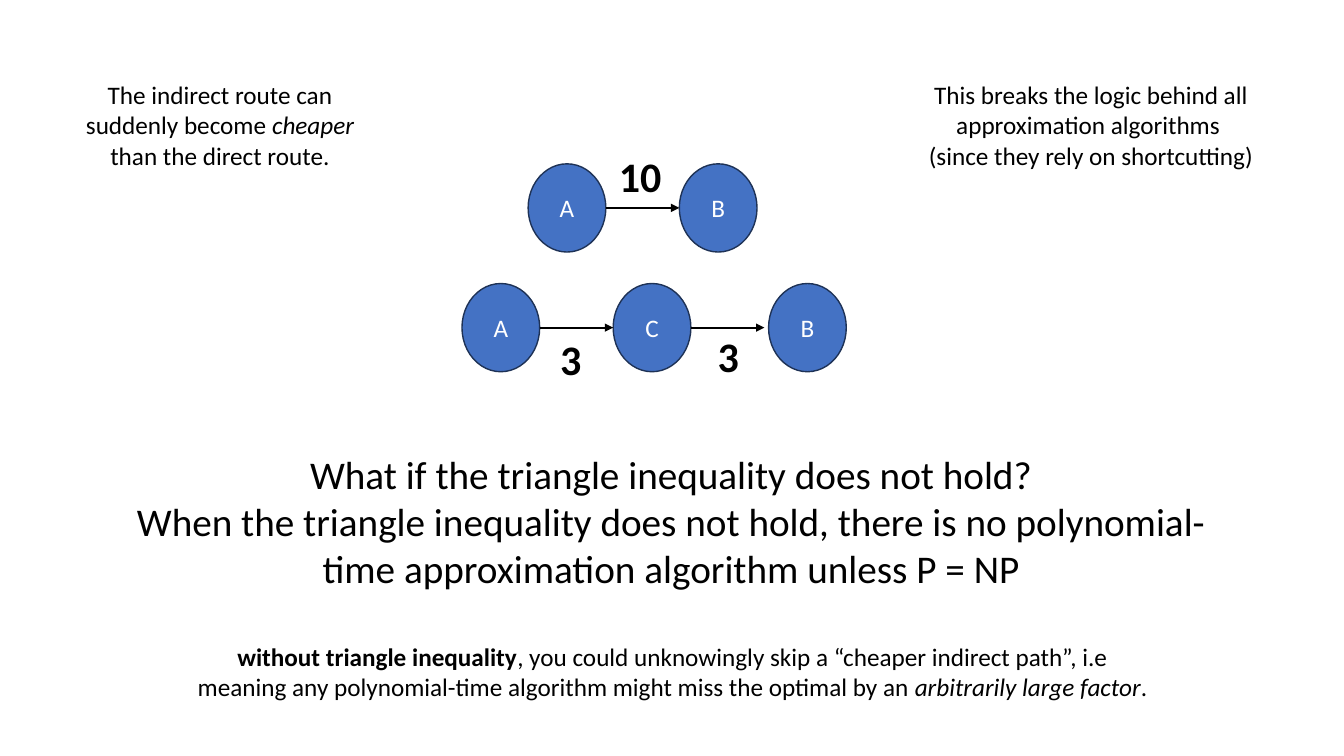
"""Build a slide on routing when the triangle inequality does not hold."""
from pptx import Presentation
from pptx.dml.color import RGBColor
from pptx.enum.shapes import MSO_CONNECTOR, MSO_SHAPE
from pptx.enum.text import MSO_ANCHOR, PP_ALIGN
from pptx.oxml.ns import qn
from pptx.util import Pt

BLACK = RGBColor(0x00, 0x00, 0x00)
WHITE = RGBColor(0xFF, 0xFF, 0xFF)
BLUE = RGBColor(0x44, 0x72, 0xC4)
NAVY = RGBColor(0x1E, 0x32, 0x56)
FONT = "Calibri"
PX = 9525
NODE_W, NODE_H, EDGE = 74, 84, 70

ROUTES = [
    (156, [("A", 503), ("B", 647)]),
    (270, [("A", 440), ("C", 584), ("B", 732)]),
]
COSTS = [
    ("10", (580, 139, 66, 59)),
    ("3", (524, 313, 56, 59)),
    ("3", (674, 310, 56, 59)),
]
NOTES = [
    ((113, 424, 1052, 145), 28, [
        [("What if the triangle inequality does not hold?", "")],
        [("When the triangle inequality does not hold, there is no "
          "polynomial-time approximation algorithm unless P = NP", "")],
    ]),
    ((71, 71, 277, 97), 18, [
        [("The indirect route can suddenly become ", ""), ("cheaper", "i"),
         (" than the direct route.", "")],
    ]),
    ((868, 71, 342, 97), 18, [
        [("This breaks the logic behind all approximation algorithms ", "")],
        [("(since they rely on shortcutting)", "")],
    ]),
    ((174, 606, 933, 68), 18, [
        [("without triangle inequality", "b"),
         (", you could unknowingly skip a “cheaper indirect path”, i.e", ""),
         ("\n", ""),
         ("meaning any polynomial-time algorithm might miss the optimal by an ", ""),
         ("arbitrarily large factor", "i"), (".", "")],
    ]),
]


def scale(*nums):
    """Turn px lengths into EMU."""
    return [num * PX for num in nums]


def write(frame, paras, size, color, align):
    """Fill a text frame run by run."""
    frame.word_wrap = True
    for num, runs in enumerate(paras):
        para = frame.add_paragraph() if num else frame.paragraphs[0]
        para.alignment = align
        for text, style in runs:
            if text == "\n":
                para.add_line_break()
                continue
            run = para.add_run()
            run.text = text
            font = run.font
            font.name, font.size = FONT, Pt(size)
            font.bold, font.italic = style == "b", style == "i"
            font.color.rgb = color


def add_text(slide, box, paras, size, align):
    """Add a text box."""
    frame = slide.shapes.add_textbox(*scale(*box)).text_frame
    write(frame, paras, size, BLACK, align)


def add_node(slide, name, left, top):
    """Add a round graph node."""
    node = slide.shapes.add_shape(
        MSO_SHAPE.OVAL, *scale(left, top, NODE_W, NODE_H))
    node.shadow.inherit = False
    node.fill.solid()
    node.fill.fore_color.rgb = BLUE
    node.line.color.rgb = NAVY
    node.line.width = Pt(1)
    node.text_frame.vertical_anchor = MSO_ANCHOR.MIDDLE
    write(node.text_frame, [[(name, "")]], 18, WHITE, PP_ALIGN.CENTER)


def add_edge(slide, left, mid):
    """Add an arrow to the right."""
    edge = slide.shapes.add_connector(
        MSO_CONNECTOR.STRAIGHT, *scale(left, mid, left + EDGE, mid))
    edge.line.color.rgb = BLACK
    edge.line.width = Pt(1.5)
    line = edge.line._get_or_add_ln()
    tip = line.makeelement(qn("a:tailEnd"), {"type": "triangle"})
    line.append(tip)
    props = line.getparent()
    props.append(props.makeelement(qn("a:effectLst"), {}))


def main():
    """Build and save the slide."""
    deck = Presentation()
    deck.slide_width, deck.slide_height = scale(1280, 720)
    slide = deck.slides.add_slide(deck.slide_layouts[6])
    for top, nodes in ROUTES:
        for name, left in nodes:
            add_node(slide, name, left, top)
        for name, left in nodes[:-1]:
            add_edge(slide, left + NODE_W, top + NODE_H // 2)
    for cost, box in COSTS:
        add_text(slide, box, [[(cost, "b")]], 30, PP_ALIGN.LEFT)
    for box, size, paras in NOTES:
        add_text(slide, box, paras, size, PP_ALIGN.CENTER)
    deck.save("out.pptx")


if __name__ == "__main__":
    main()
